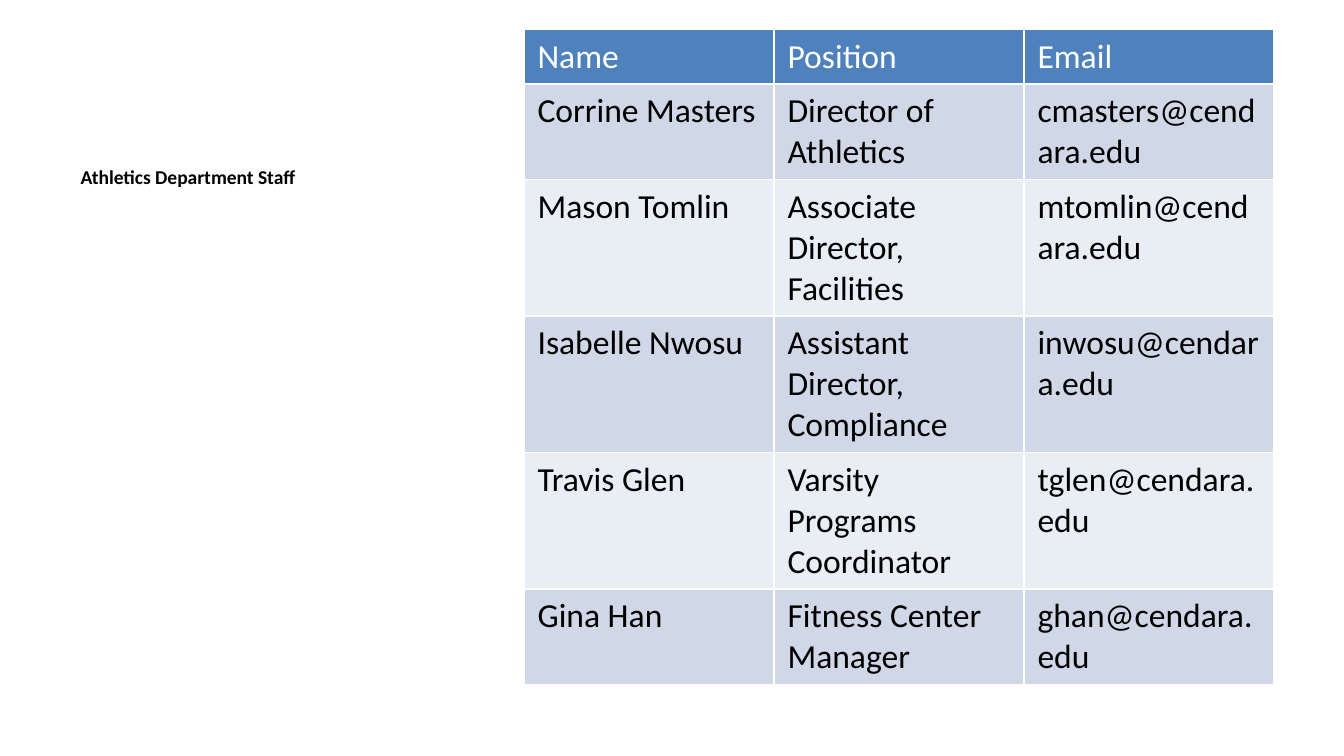
from dataclasses import dataclass
from pptx import Presentation
from pptx.dml.color import RGBColor as RGB
from pptx.enum.text import MSO_ANCHOR as Anchor, PP_ALIGN as Align
from pptx.util import Inches, Pt


@dataclass(frozen=True)
class Theme:
    font: str = "Calibri"
    ink: RGB = RGB(0x00, 0x00, 0x00)
    white: RGB = RGB(0xFF, 0xFF, 0xFF)
    head: RGB = RGB(0x4F, 0x81, 0xBD)
    bands: tuple = (RGB(0xD0, 0xD8, 0xE8), RGB(0xE9, 0xED, 0xF4))
    title: Pt = Pt(10.5)
    body: Pt = Pt(18)


theme = Theme()


def style(para, size, color, bold=False):
    font = para.font
    font.name, font.size, font.bold = theme.font, size, bold
    font.color.rgb = color


# Slide, 16:9
deck = Presentation()
deck.slide_width, deck.slide_height = Inches(10), Inches(10 * 9 / 16)
slide = deck.slides.add_slide(deck.slide_layouts[5])

# Title
title = slide.shapes.title
title.left, title.top = Inches(0.5), Inches(1.18)
title.width, title.height = Inches(3.29), Inches(3.85)
frame = title.text_frame
frame.text = "Athletics Department Staff"
frame.vertical_anchor = Anchor.TOP
frame.paragraphs[0].alignment = Align.LEFT
style(frame.paragraphs[0], theme.title, theme.ink, bold=True)

# Staff table: the position column sets how many lines a row needs
staff = [
    (1, "Name", "Position", "Email"),
    (2, "Corrine Masters", "Director of Athletics", "cmasters@cendara.edu"),
    (3, "Mason Tomlin", "Associate Director, Facilities", "mtomlin@cendara.edu"),
    (3, "Isabelle Nwosu", "Assistant Director, Compliance", "inwosu@cendara.edu"),
    (3, "Travis Glen", "Varsity Programs Coordinator", "tglen@cendara.edu"),
    (2, "Gina Han", "Fitness Center Manager", "ghan@cendara.edu"),
]
table = slide.shapes.add_table(
    len(staff), 3, Inches(3.9), Inches(0.22), Inches(5.58), Inches(4.8)
).table
for col in table.columns:
    col.width = Inches(1.86)

for r, (lines, *texts) in enumerate(staff):
    table.rows[r].height = Inches(0.1 + 0.3 * lines)
    fill = theme.bands[(r - 1) % 2] if r else theme.head
    color = theme.ink if r else theme.white
    for c, text in enumerate(texts):
        cell = table.cell(r, c)
        cell.text = text
        cell.fill.solid()
        cell.fill.fore_color.rgb = fill
        style(cell.text_frame.paragraphs[0], theme.body, color)

deck.save("out.pptx")
